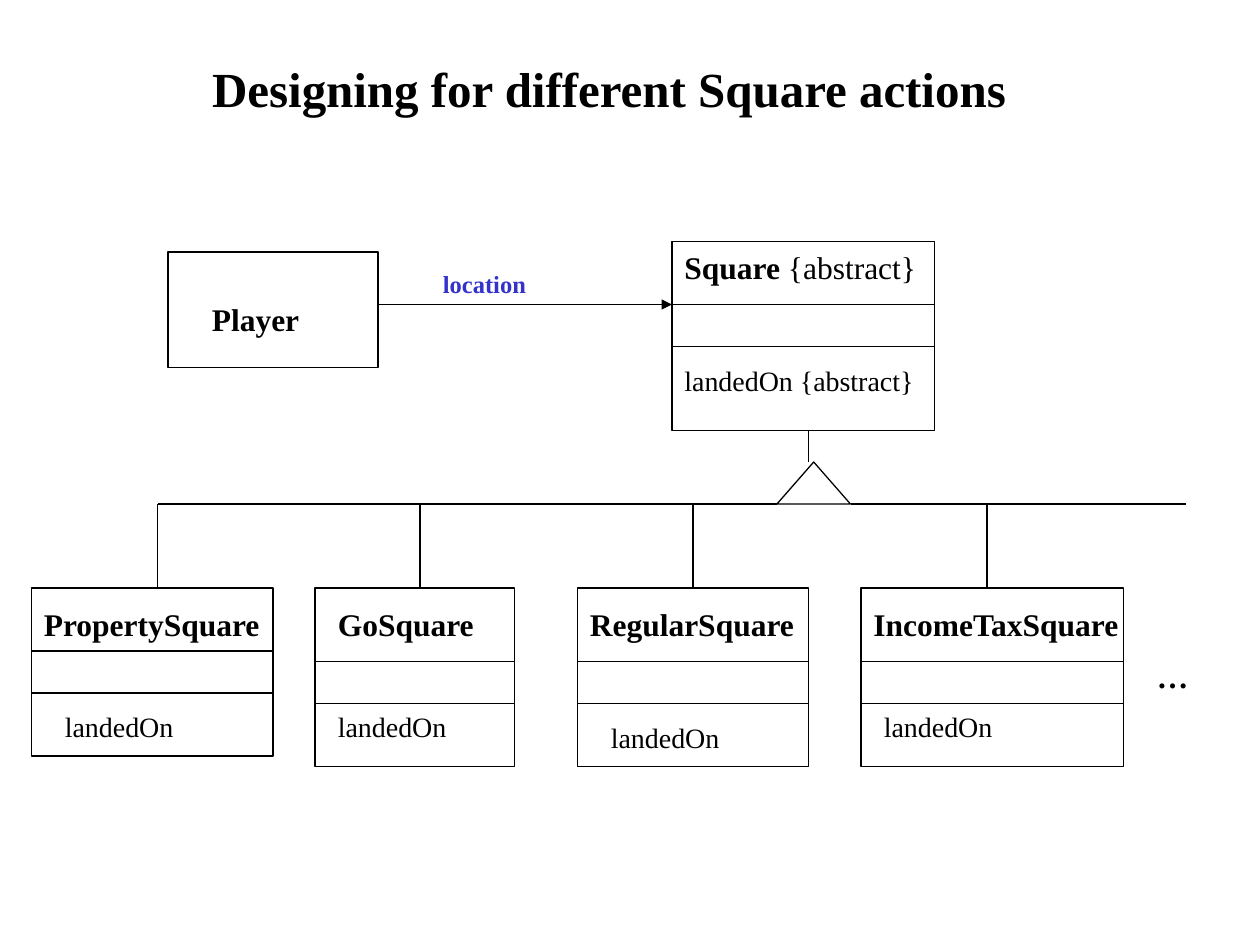
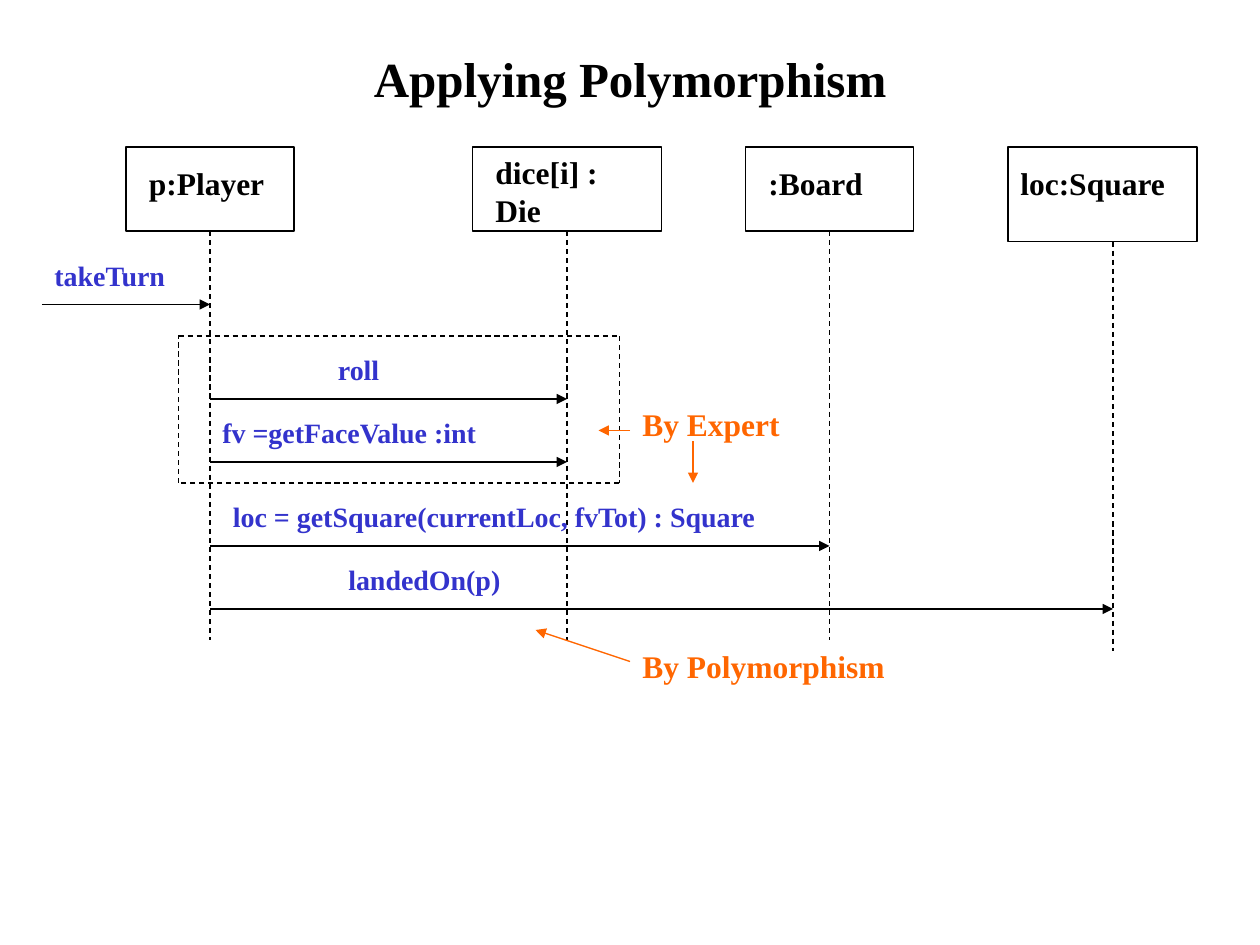
"""Build two UML slides on polymorphic squares: a class diagram and a sequence diagram."""

from dataclasses import dataclass

from lxml.etree import SubElement
from pptx import Presentation
from pptx.dml.color import RGBColor
from pptx.enum.dml import MSO_LINE
from pptx.enum.shapes import MSO_CONNECTOR, MSO_SHAPE
from pptx.enum.text import MSO_ANCHOR, MSO_AUTO_SIZE, PP_ALIGN
from pptx.oxml.ns import qn
from pptx.util import Inches, Pt


@dataclass(frozen=True)
class Theme:
    font: str = "Times New Roman"
    ink: RGBColor = RGBColor(0x00, 0x00, 0x00)
    paper: RGBColor = RGBColor(0xFF, 0xFF, 0xFF)
    message: RGBColor = RGBColor(0x33, 0x33, 0xCC)
    remark: RGBColor = RGBColor(0xFF, 0x66, 0x00)
    title_size: int = 28
    name_size: int = 18
    body_size: int = 16
    small_size: int = 14
    line_width: float = 0.75
    cell: int = Inches(1 / 12)


class Diagram:
    def __init__(self, deck, theme):
        self.deck = deck
        self.theme = theme
        self.page = None

    def grid(self, *cells):
        return [round(cell * self.theme.cell) for cell in cells]

    def style_span(self, span, size, color, bold):
        span.font.name = self.theme.font
        span.font.size = Pt(size)
        span.font.color.rgb = color
        span.font.bold = bold

    def style_line(self, line, color):
        line.color.rgb = color
        line.width = Pt(self.theme.line_width)

    def add_page(self, title, left, top, width):
        self.page = self.deck.slides.add_slide(self.deck.slide_layouts[5])
        box = self.page.shapes.title
        box.left, box.top, box.width, box.height = self.grid(left, top, width, 7)
        frame = box.text_frame
        frame.text = title
        frame.word_wrap = True
        frame.auto_size = MSO_AUTO_SIZE.NONE
        frame.vertical_anchor = MSO_ANCHOR.TOP
        para = frame.paragraphs[0]
        para.alignment = PP_ALIGN.CENTER
        self.style_span(para.runs[0], self.theme.title_size, self.theme.ink, True)

    def label(self, text, left, top, width, size=None, color=None, bold=True, rows=5):
        box = self.page.shapes.add_textbox(*self.grid(left, top, width, rows))
        box.text_frame.word_wrap = True
        para = box.text_frame.paragraphs[0]
        para.text = text
        self.style_span(para.runs[0], size or self.theme.name_size,
                        color or self.theme.ink, bold)
        return para

    def shape(self, kind, left, top, width, height):
        shape = self.page.shapes.add_shape(kind, *self.grid(left, top, width, height))
        shape.shadow.inherit = False
        shape.fill.solid()
        shape.fill.fore_color.rgb = self.theme.paper
        self.style_line(shape.line, self.theme.ink)

    def box(self, left, top, width, height):
        self.shape(MSO_SHAPE.RECTANGLE, left, top, width, height)

    def line(self, start, end, color=None, dashed=False, arrow=False):
        line = self.page.shapes.add_connector(
            MSO_CONNECTOR.STRAIGHT, *self.grid(*start, *end))
        self.style_line(line.line, color or self.theme.ink)
        if dashed:
            line.line.dash_style = MSO_LINE.DASH
        if arrow:
            SubElement(line.line._get_or_add_ln(), qn("a:tailEnd"), type="triangle")
        SubElement(line._element.spPr, qn("a:effectLst"))

    def class_box(self, name, outline, name_at, dividers, operation, operation_at):
        left, _, width, _ = outline
        self.box(*outline)
        para = self.label(name, *name_at)
        for row in dividers:
            self.line((left, row), (left + width, row))
        self.label(operation, *operation_at, size=self.theme.body_size, bold=False)
        return para

    def lifeline(self, name, outline, name_at, column, rows=5):
        self.box(*outline)
        self.label(name, *name_at, rows=rows)
        bottom = outline[1] + outline[3]
        self.line((column, bottom), (column, bottom + 39), dashed=True)

    def message(self, text, start, end, row, label_left, label_width):
        self.line((start, row), (end, row), arrow=True)
        self.label(text, label_left, row - 5, label_width,
                   size=self.theme.body_size, color=self.theme.message)

    def remark(self, text, left, top, width, arrows):
        self.label(text, left, top, width, color=self.theme.remark)
        for start, end in arrows:
            self.line(start, end, color=self.theme.remark, arrow=True)


def build_class_page(diagram):
    theme = diagram.theme
    diagram.add_page("Designing for different Square actions", 10, 5, 96)

    diagram.box(16, 24, 20, 11)
    diagram.label("Player", 19, 28, 13)
    para = diagram.class_box("Square ", (64, 23, 25, 18), (64, 23, 28), (29, 33),
                             "landedOn {abstract}", (64, 34, 28))
    span = para.add_run()
    span.text = "{abstract}"
    diagram.style_span(span, theme.name_size, theme.ink, False)

    subclasses = [
        ("PropertySquare", 3, 23, 16, (3, 25), 62, (5, 67)),
        ("GoSquare", 30, 19, 17, (31, 19), 63, (31, 67)),
        ("RegularSquare", 55, 22, 17, (55, 22), 63, (57, 68)),
        ("IncomeTaxSquare", 82, 25, 17, (82, 28), 63, (83, 67)),
    ]
    for name, left, width, height, (name_left, name_width), divider, operation in subclasses:
        diagram.class_box(name, (left, 56, width, height), (name_left, 57, name_width),
                          (divider, divider + 4), "landedOn", (*operation, 13))

    diagram.shape(MSO_SHAPE.ISOSCELES_TRIANGLE, 74, 44, 7, 4)
    diagram.line((77, 44), (77, 41))
    diagram.line((74, 48), (15, 48))
    diagram.line((81, 48), (113, 48))
    for column in (15, 40, 66, 94):
        diagram.line((column, 48), (column, 56))

    diagram.line((36, 29), (64, 29), arrow=True)
    diagram.label("location", 41, 25, 17, size=theme.small_size, color=theme.message)
    diagram.label("…", 109, 62, 7)


def build_sequence_page(diagram):
    diagram.add_page("Applying Polymorphism", 16, 4, 88)

    player, die, board, square = 20, 54, 79, 106
    diagram.lifeline("p:Player", (12, 14, 16, 8), (13, 15, 19), player)
    diagram.lifeline("dice[i] : Die", (45, 14, 18, 8), (46, 14, 15), die, rows=8.4)
    diagram.lifeline(":Board", (71, 14, 16, 8), (72, 15, 13), board)
    diagram.lifeline("loc:Square", (96, 14, 18, 9), (96, 15, 17), square)

    messages = [
        ("takeTurn", 4, player, 29, 4, 16),
        ("roll", player, die, 38, 31, 10),
        ("fv =getFaceValue :int", player, die, 44, 20, 35),
        ("loc = getSquare(currentLoc, fvTot) : Square", player, board, 52, 21, 56),
        ("landedOn(p)", player, square, 58, 32, 24),
    ]
    for message in messages:
        diagram.message(*message)

    corners = [(17, 32), (59, 32), (59, 46), (17, 46)]
    for start, end in zip(corners, corners[1:] + corners[:1]):
        diagram.line(start, end, dashed=True)

    diagram.remark("By Expert", 60, 38, 18,
                   [((66, 42), (66, 46)), ((60, 41), (57, 41))])
    diagram.remark("By Polymorphism", 60, 61, 28, [((60, 63), (51, 60))])


def main():
    deck = Presentation()
    deck.slide_width, deck.slide_height = Inches(10), Inches(7.5)
    diagram = Diagram(deck, Theme())
    build_class_page(diagram)
    build_sequence_page(diagram)
    deck.save("out.pptx")


if __name__ == "__main__":
    main()
